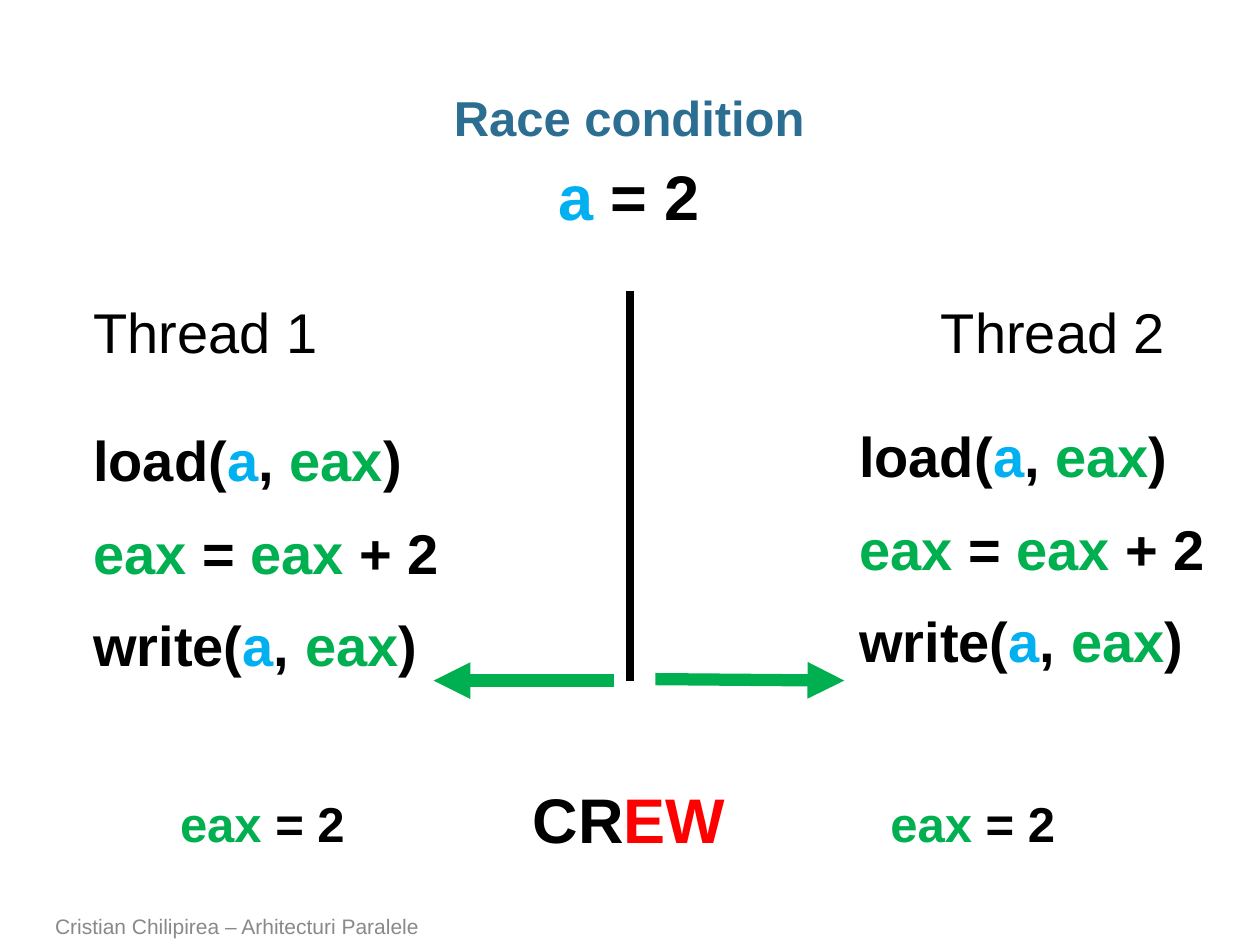
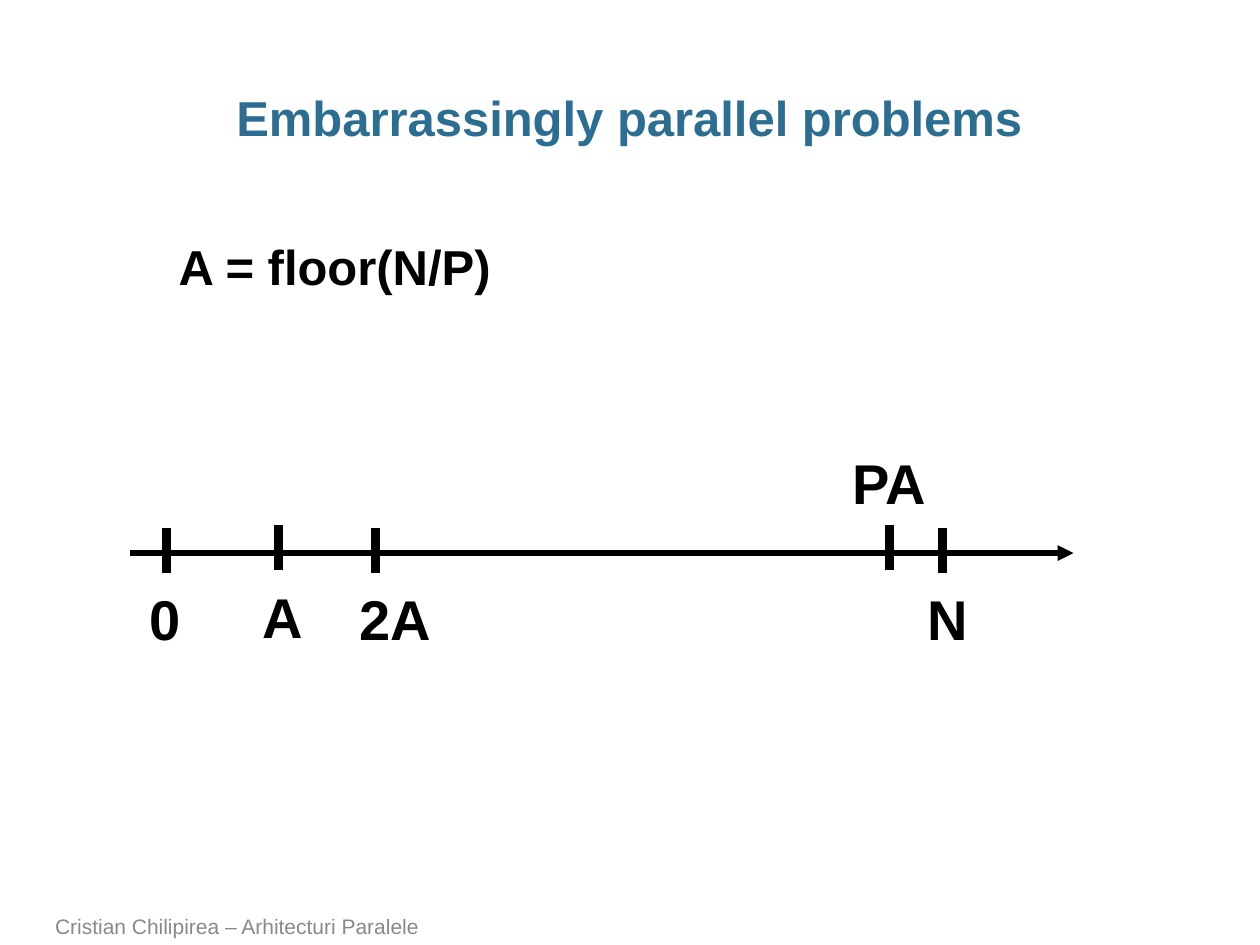
"""Builds two slides on parallel threads: a race condition and an even split of work."""
from lxml.etree import SubElement
from pptx import Presentation
from pptx.dml.color import RGBColor
from pptx.enum.shapes import MSO_CONNECTOR
from pptx.enum.text import MSO_ANCHOR, PP_ALIGN
from pptx.oxml.ns import qn
from pptx.util import Cm, Pt

BLACK = RGBColor(0x00, 0x00, 0x00)
TITLE_BLUE = RGBColor(0x2C, 0x6D, 0x92)
SHARED_BLUE = RGBColor(0x00, 0xB0, 0xF0)
REGISTER_GREEN = RGBColor(0x00, 0xB0, 0x50)
RED = RGBColor(0xFF, 0x00, 0x00)
FOOTER_GREY = RGBColor(0x89, 0x89, 0x89)
FONT = "Arial"
FOOTER = "Cristian Chilipirea – Arhitecturi Paralele"


def add_text(slide, box, paragraphs, size, bold=True, wrap=True, inset=0.25):
    shape = slide.shapes.add_textbox(*[Cm(length) for length in box])
    frame = shape.text_frame
    frame.word_wrap = wrap
    frame.margin_left = frame.margin_right = Cm(inset)
    for index, runs in enumerate(paragraphs):
        paragraph = frame.add_paragraph() if index else frame.paragraphs[0]
        if index:
            paragraph.space_before = Pt(14.4)
        for text, color in runs:
            run = paragraph.add_run()
            run.text = text
            run.font.name = FONT
            run.font.size = Pt(size)
            run.font.bold = bold
            run.font.color.rgb = color
    return frame


def add_line(slide, start, end, color, width, arrow=False):
    points = [Cm(length) for length in (*start, *end)]
    connector = slide.shapes.add_connector(MSO_CONNECTOR.STRAIGHT, *points)
    connector.line.color.rgb = color
    connector.line.width = Pt(width)
    if arrow:
        SubElement(connector.line._get_or_add_ln(), qn("a:tailEnd"), type="triangle")
    SubElement(connector._element.spPr, qn("a:effectLst"))


presentation = Presentation()
presentation.slide_width = Cm(25.4)
presentation.slide_height = Cm(19.05)

slides = []
for title in ("Race condition", "Embarrassingly parallel problems"):
    slide = presentation.slides.add_slide(presentation.slide_layouts[6])
    frame = add_text(slide, (0.86, 1.73, 23.65, 1.27), [[(title, TITLE_BLUE)]], 28, inset=0)
    frame.paragraphs[0].alignment = PP_ALIGN.CENTER
    frame.paragraphs[0].line_spacing = 0.95
    frame = add_text(slide, (0.86, 18.34, 18.72, 0.71), [[(FOOTER, FOOTER_GREY)]], 12, bold=False)
    frame.vertical_anchor = MSO_ANCHOR.BOTTOM
    slides.append(slide)
race_slide, split_slide = slides

shared = ("a", SHARED_BLUE)
register = ("eax", REGISTER_GREEN)
comma = (", ", BLACK)
close = (")", BLACK)
thread_code = [
    [("load(", BLACK), shared, comma, register, close],
    [register, (" = ", BLACK), register, (" + 2", BLACK)],
    [("write(", BLACK), shared, comma, register, close],
]
register_value = [[("eax ", REGISTER_GREEN), ("= 2", BLACK)]]

add_text(race_slide, (11, 3.05, 3.4, 1.8), [[shared, (" = 2", BLACK)]], 36, wrap=False)
add_line(race_slide, (12.7, 5.87), (12.7, 13.72), BLACK, 5)
threads = [
    ("Thread 1", 1.88, 1.88, 8.46, 3.38),
    ("Thread 2", 18.97, 17.32, 8.38, 17.7),
]
for name, name_left, code_left, code_top, value_left in threads:
    add_text(race_slide, (name_left, 5.87, 6.58, 1.68), [[(name, BLACK)]], 32, bold=False, inset=0)
    add_text(race_slide, (code_left, code_top, 8.08, 6.25), thread_code, 32, inset=0)
    add_text(race_slide, (value_left, 15.88, 5.33, 1.45), register_value, 28)
for start, end in [((12.37, 13.72), (8.74, 13.72)), ((13.21, 13.69), (17.02, 13.72))]:
    add_line(race_slide, start, end, REGISTER_GREEN, 7, arrow=True)
add_text(race_slide, (10.49, 15.6, 4.42, 1.8), [[("CR", BLACK), ("EW", RED)]], 36, wrap=False)

add_text(split_slide, (3.35, 4.65, 7.16, 1.45), [[("A = floor(N/P)", BLACK)]], 28, wrap=False)
add_line(split_slide, (2.62, 11.15), (21.64, 11.15), BLACK, 3, arrow=True)
ticks = [
    ("0", 3.35, 10.64, 2.77, 11.66, 1.14),
    ("A", 5.61, 10.59, 5.05, 11.61, 1.35),
    ("2A", 7.57, 10.64, 6.99, 11.66, 1.98),
    ("PA", 17.93, 10.59, 16.94, 8.92, 2.01),
    ("N", 19, 10.64, 18.44, 11.66, 1.35),
]
for label, tick_x, tick_top, label_left, label_top, label_width in ticks:
    add_line(split_slide, (tick_x, tick_top), (tick_x, tick_top + 0.91), BLACK, 5)
    label_box = (label_left, label_top, label_width, 1.63)
    add_text(split_slide, label_box, [[(label, BLACK)]], 32, wrap=False)

presentation.save("out.pptx")
